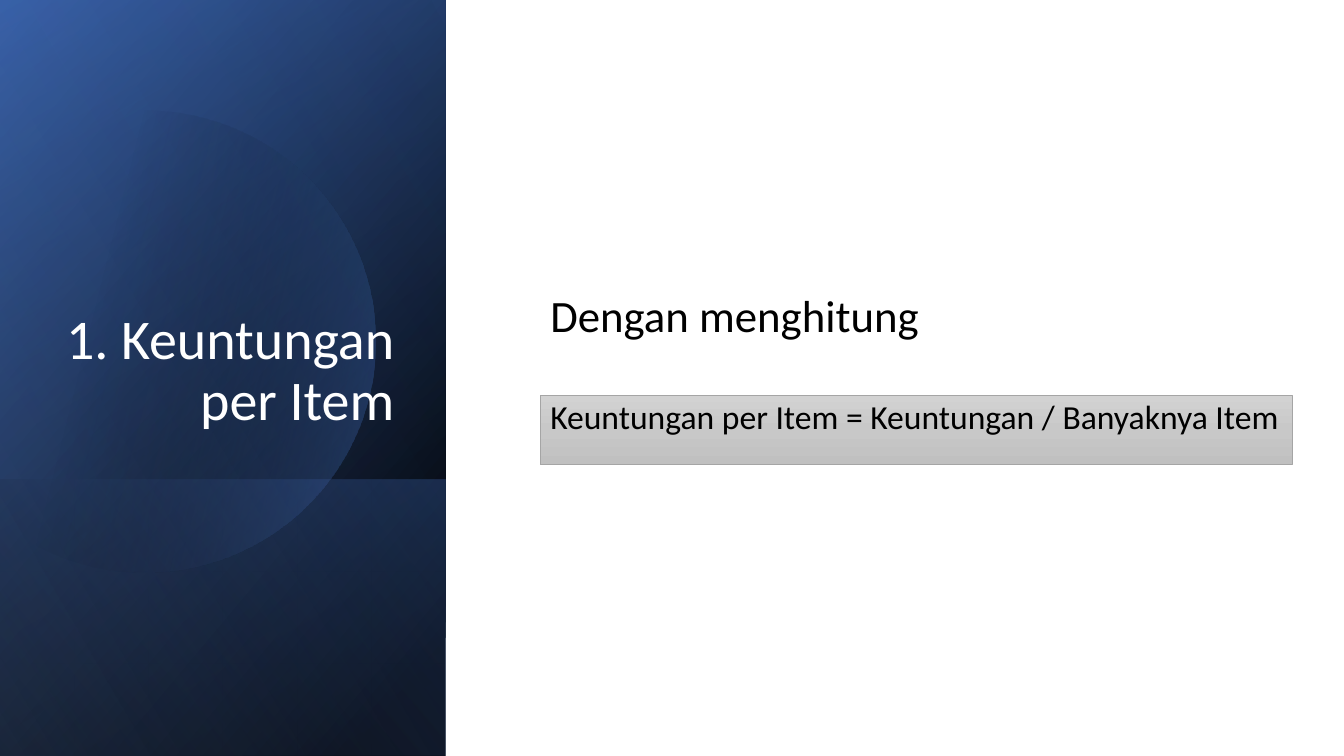
import math
from lxml import etree
from pptx import Presentation, util as u
from pptx.dml.color import RGBColor
from pptx.enum import shapes, text
from pptx.oxml.ns import qn

TITLE = "1. Keuntungan per Item"
LEAD = "Dengan menghitung"
FORMULA = "Keuntungan per Item = Keuntungan / Banyaknya Item "

THEME = dict(font="Calibri", title=40, lead=32, formula=24,
             light="FFFFFF", dark="000000", edge="A5A5A5",
             deep="2F5597", blue="4472C4", pale="8FAADC",
             greys=("D2D2D2", "C8C8C8", "C0C0C0"))
W, H = 13.33, 7.5
SIDE_W = 4.42
BAND_H = 2.74
BODY_X = 5.36
DISC = dict(cx=1.43, cy=3.39, r=2.29, steps=120)

DARK, BLUE = THEME["dark"], THEME["blue"]
BASE_PANELS = [
    (H, [(8, DARK, 100), (100, THEME["deep"], 100)], 50),
    (H, [(0, DARK, 0), (99, BLUE, 46)], 30),
    (BAND_H, [(2, BLUE, 29), (100, DARK, 30)], 130),
]
DISC_STOPS = [(29, DARK, 0), (100, BLUE, 43)]
GLOW_PANEL = (H, [(0, DARK, 0), (99, THEME["pale"], 11)], 120)

prs = Presentation()
prs.slide_width, prs.slide_height = u.Inches(W), u.Inches(H)
s = prs.slides.add_slide(prs.slide_layouts[6])


def gradient(sp, stops, angle):
    sp.shadow.inherit = False
    sp.line.fill.background()
    sp.fill.gradient()
    grad = sp.fill._xPr.find(qn("a:gradFill"))
    stop_list = grad.find(qn("a:gsLst"))
    for old in list(stop_list):
        stop_list.remove(old)
    for pos, color, alpha in stops:
        gs = etree.SubElement(stop_list, qn("a:gs"), pos=str(pos * 1000))
        clr = etree.SubElement(gs, qn("a:srgbClr"), val=color)
        if alpha < 100:
            etree.SubElement(clr, qn("a:alpha"), val=str(alpha * 1000))
    grad.find(qn("a:lin")).set("ang", str(angle * 60000))


def rect(x, y, w, h):
    return s.shapes.add_shape(shapes.MSO_SHAPE.RECTANGLE,
                              *map(u.Inches, (x, y, w, h)))


def side_panel(height, stops, angle):
    cx, cy = SIDE_W / 2, H - height / 2
    sp = rect(cx - height / 2, cy - SIDE_W / 2, height, SIDE_W)
    sp.rotation = 90
    sp._element.spPr.find(qn("a:xfrm")).set("flipH", "1")
    gradient(sp, stops, angle)


def disc(cx, cy, r, steps):
    half = math.pi - math.acos(cx / r)
    angles = [half * (2 * i / steps - 1) for i in range(steps + 1)]
    pts = [(u.Inches(cx + r * math.cos(a)), u.Inches(cy + r * math.sin(a)))
           for a in angles]
    fb = s.shapes.build_freeform(*pts[0])
    fb.add_line_segments(pts[1:], close=True)
    gradient(fb.convert_to_shape(), DISC_STOPS, 14)


def write(sp, words, size, color=DARK, anchor="TOP", align="LEFT", before=0):
    tf = sp.text_frame
    tf.word_wrap = True
    tf.vertical_anchor = getattr(text.MSO_ANCHOR, anchor)
    p = tf.paragraphs[0]
    p.alignment = getattr(text.PP_ALIGN, align)
    p.line_spacing = 0.9
    p.space_before = u.Pt(before)
    r = p.add_run()
    r.text = words
    r.font.name, r.font.size = THEME["font"], u.Pt(size)
    r.font.color.rgb = RGBColor.from_string(color)


def textbox(x, y, w, h):
    return s.shapes.add_textbox(*map(u.Inches, (x, y, w, h)))


for panel in BASE_PANELS:
    side_panel(*panel)
disc(**DISC)
side_panel(*GLOW_PANEL)

write(textbox(0.51, 0.64, 3.5, 3.7), TITLE, THEME["title"],
      color=THEME["light"], anchor="BOTTOM", align="RIGHT")
write(textbox(BODY_X, 2.73, 5.78, 0.85), LEAD, THEME["lead"],
      anchor="MIDDLE", before=10)

box = rect(BODY_X, 3.92, 7.46, 0.69)
gradient(box, [(50 * i, c, 100) for i, c in enumerate(THEME["greys"])], 90)
box.line.color.rgb = RGBColor.from_string(THEME["edge"])
box.line.width = u.Pt(0.5)
write(box, FORMULA, THEME["formula"], before=10)

prs.save("out.pptx")
